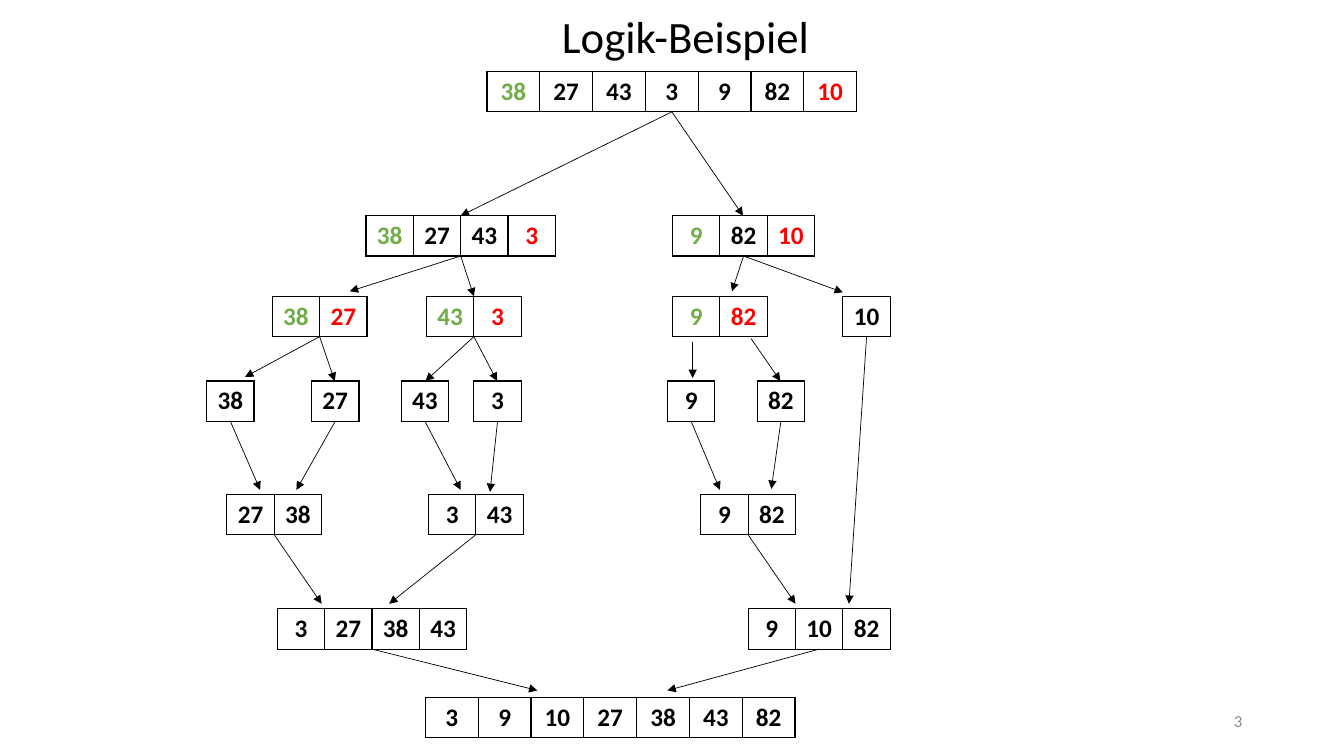
from dataclasses import dataclass

from lxml import etree
from pptx import Presentation
from pptx import util as u
from pptx.dml.color import RGBColor
from pptx.enum import shapes, text
from pptx.oxml.ns import qn


@dataclass(frozen=True)
class Theme:
    font: str = "Calibri"
    black: str = "000000"
    white: str = "FFFFFF"
    first: str = "70AD47"
    last: str = "FF0000"
    muted: str = "8C8C8C"
    title_size: float = 32
    value_size: float = 18
    number_size: float = 12
    border: float = 1
    arrow: float = 0.5


THEME = Theme()
GRID = 0.1  # inches per grid column and row
CELL_HEIGHT = 4
LEVELS = [7.1, 21.4, 29.4, 37.8, 49.05, 60.4, 69.2]  # top row of each level

# name: (level, left column, values, first and last value highlighted)
ARRAYS = {
    "input": (0, 48.3, [38, 27, 43, 3, 9, 82, 10], True),
    "left half": (1, 36.3, [38, 27, 43, 3], True),
    "right half": (1, 66.7, [9, 82, 10], True),
    "pair 38-27": (2, 27.0, [38, 27], True),
    "pair 43-3": (2, 42.3, [43, 3], True),
    "pair 9-82": (2, 66.7, [9, 82], True),
    "single 10": (2, 83.6, [10], False),
    "single 38": (3, 20.5, [38], False),
    "single 27": (3, 30.9, [27], False),
    "single 43": (3, 39.8, [43], False),
    "single 3": (3, 47.0, [3], False),
    "single 9": (3, 66.2, [9], False),
    "single 82": (3, 75.1, [82], False),
    "merged 27-38": (4, 22.5, [27, 38], False),
    "merged 3-43": (4, 42.5, [3, 43], False),
    "merged 9-82": (4, 69.5, [9, 82], False),
    "merged left": (5, 27.5, [3, 27, 38, 43], False),
    "merged right": (5, 74.2, [9, 10, 82], False),
    "sorted": (6, 42.2, [3, 9, 10, 27, 38, 43, 82], False),
}

# (source array, tip column, target level, gap above the target)
ARROWS = [
    ("input", 45.7, 1, 0), ("input", 73.7, 1, 0),
    ("left half", 34.7, 2, 0.5), ("left half", 47.0, 2, 0),
    ("right half", 72.6, 2, 0.5), ("right half", 83.6, 2, 0.4),
    ("pair 38-27", 24.3, 3, 0.4), ("pair 38-27", 33.2, 3, 0),
    ("pair 43-3", 42.2, 3, 0), ("pair 43-3", 49.3, 3, 0),
    ("single 38", 25.8, 4, 0.45), ("single 27", 29.4, 4, 0.45),
    ("single 43", 45.7, 4, 0.45), ("single 3", 48.6, 4, 0.25),
    ("single 9", 71.4, 4, 0.45), ("single 82", 76.5, 4, 0.55),
    ("merged 27-38", 31.9, 5, 0.5), ("merged 3-43", 38.6, 5, 0.5),
    ("merged 9-82", 78.9, 5, 0.5), ("single 10", 84.2, 5, 0.5),
    ("merged left", 53.3, 6, 0.7), ("merged right", 66.2, 6, 0.7),
]
# Arrows that start away from the middle of their array
FREE_ARROWS = [((68.7, 33.9), (68.7, 37.5)), ((74.5, 33.6), (77.4, 37.8))]


def grid(count):
    return u.Inches(count * GRID)


def cell_width(values):
    return 5.24 if len(values) == 7 else 4.7


def style(paragraph, size, color, alignment, bold=False):
    paragraph.alignment = alignment
    font = paragraph.font
    font.name, font.size, font.bold = THEME.font, u.Pt(size), bold
    font.color.rgb = RGBColor.from_string(color)


def add_borders(cell):
    properties = cell._tc.get_or_add_tcPr()
    for side in ("lnL", "lnR", "lnT", "lnB"):
        line = etree.SubElement(properties, qn("a:" + side), w=str(u.Pt(THEME.border)))
        fill = etree.SubElement(line, qn("a:solidFill"))
        etree.SubElement(fill, qn("a:srgbClr"), val=THEME.black)


def add_array(slide, level, left, values, highlighted):
    width = cell_width(values)
    table = slide.shapes.add_table(
        1, len(values), grid(left), grid(LEVELS[level]),
        grid(width * len(values)), grid(CELL_HEIGHT)).table
    table.first_row = table.horz_banding = False
    colors = [THEME.black] * len(values)
    if highlighted:
        colors[0], colors[-1] = THEME.first, THEME.last
    for index, (value, color) in enumerate(zip(values, colors)):
        table.columns[index].width = grid(width)
        cell = table.cell(0, index)
        add_borders(cell)
        cell.fill.solid()
        cell.fill.fore_color.rgb = RGBColor.from_string(THEME.white)
        cell.margin_left = cell.margin_right = grid(0.4)
        cell.margin_top = cell.margin_bottom = grid(0.4)
        cell.vertical_anchor = text.MSO_ANCHOR.MIDDLE
        cell.text = str(value)
        style(cell.text_frame.paragraphs[0], THEME.value_size, color,
              text.PP_ALIGN.CENTER, bold=True)


def add_arrow(slide, start, tip):
    arrow = slide.shapes.add_connector(
        shapes.MSO_CONNECTOR.STRAIGHT, *map(grid, start + tip))
    arrow.line.width = u.Pt(THEME.arrow)
    arrow.line.color.rgb = RGBColor.from_string(THEME.black)
    etree.SubElement(arrow.line._get_or_add_ln(), qn("a:tailEnd"), type="triangle")
    etree.SubElement(arrow._element.spPr, qn("a:effectLst"))


def bottom_middle(name):
    level, left, values, _ = ARRAYS[name]
    return left + cell_width(values) * len(values) / 2, LEVELS[level] + CELL_HEIGHT


def add_title(slide, wording):
    title = slide.shapes.title
    title.left, title.top, title.width, title.height = map(grid, (31.6, 0.4, 72.8, 9.4))
    title.text = wording
    frame = title.text_frame
    frame.auto_size = text.MSO_AUTO_SIZE.NONE
    frame.vertical_anchor = text.MSO_ANCHOR.TOP
    style(frame.paragraphs[0], THEME.title_size, THEME.black, text.PP_ALIGN.CENTER)


def add_slide_number(slide, number):
    frame = slide.shapes.add_textbox(*map(grid, (94.2, 69.5, 30, 4))).text_frame
    frame.word_wrap = True
    frame.vertical_anchor = text.MSO_ANCHOR.MIDDLE
    frame.text = number
    style(frame.paragraphs[0], THEME.number_size, THEME.muted, text.PP_ALIGN.RIGHT)


def main():
    presentation = Presentation()
    presentation.slide_width, presentation.slide_height = u.Inches(13.33), u.Inches(7.5)
    slide = presentation.slides.add_slide(presentation.slide_layouts[5])
    add_title(slide, "Logik-Beispiel")

    # Arrays of the split and merge steps
    for array in ARRAYS.values():
        add_array(slide, *array)

    # Arrows between the levels
    for source, column, level, gap in ARROWS:
        add_arrow(slide, bottom_middle(source), (column, LEVELS[level] - gap))
    for start, tip in FREE_ARROWS:
        add_arrow(slide, start, tip)

    add_slide_number(slide, "3")
    presentation.save("out.pptx")


main()
